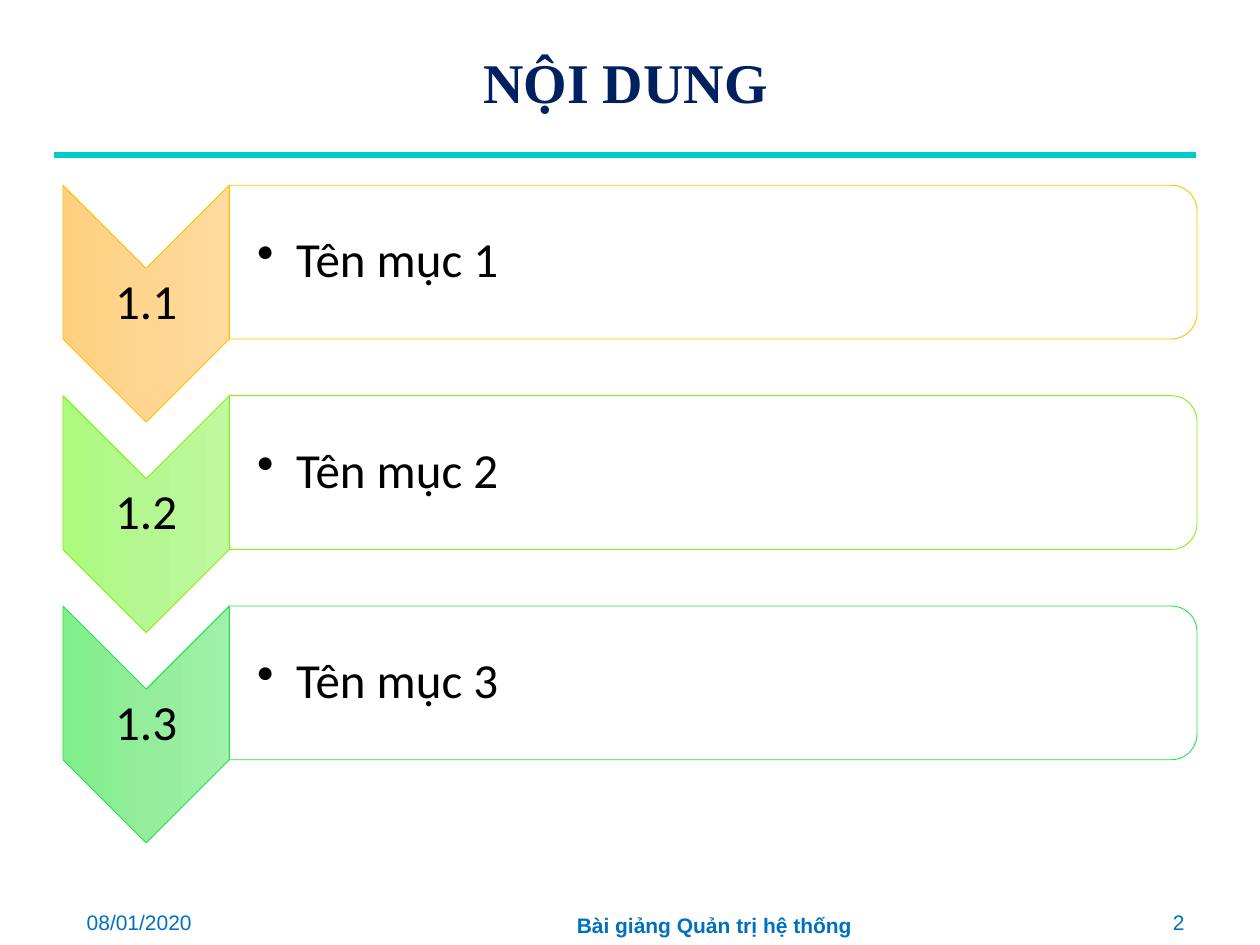
import copy
from dataclasses import dataclass

import pptx
import pptx.dml.color
import pptx.enum.shapes
import pptx.enum.text
import pptx.oxml
import pptx.oxml.ns
import pptx.util
from pptx.util import Inches

SHAPES = pptx.enum.shapes.MSO_SHAPE
ALIGN = pptx.enum.text.PP_ALIGN
MIDDLE = pptx.enum.text.MSO_ANCHOR.MIDDLE
qn = pptx.oxml.ns.qn


@dataclass(frozen=True)
class Style:
    font: str
    size: int
    color: str
    bold: bool = False


@dataclass(frozen=True)
class Theme:
    title: Style = Style("Times New Roman", 32, "002060", True)
    item: Style = Style("Calibri", 28, "000000")
    footer: Style = Style("Arial", 12, "0070C0")
    footer_bold: Style = Style("Arial", 12, "0070C0", True)
    rule: str = "00CCCC"
    panel: str = "FFFFFF"


@dataclass(frozen=True)
class Box:
    left: float
    top: float
    width: float
    height: float

    def lengths(self) -> tuple:
        return tuple(Inches(v) for v in (self.left, self.top, self.width, self.height))

    def before_quarter_turn(self) -> "Box":
        """Frame that covers this box once it is rotated by 90 degrees."""
        shift = (self.width - self.height) / 2
        return Box(self.left + shift, self.top - shift, self.height, self.width)


@dataclass(frozen=True)
class Section:
    number: str
    name: str
    gradient: tuple
    line: str


@dataclass(frozen=True)
class Footer:
    text: str
    box: Box
    align: object
    style: Style


THEME = Theme()
ROW_TOP, ROW_PITCH = 1.47, 1.67
LEFT, CHEVRON_WIDTH, PANEL_WIDTH = 0.5, 1.32, 7.68
SECTIONS = (
    Section("1.1", "Tên mục 1", ("FFDB9E", "FFD590", "FFD07C"), "FFC000"),
    Section("1.2", "Tên mục 2", ("C0F99F", "B5F791", "ABFB7D"), "86F011"),
    Section("1.3", "Tên mục 3", ("A1F0A9", "93ED9B", "7FEF89"), "23E148"),
)
FOOTERS = (
    Footer("08/01/2020", Box(0.59, 7.18, 1.47, 0.28), ALIGN.LEFT, THEME.footer),
    Footer("Bài giảng Quản trị hệ thống", Box(2.56, 7.18, 6.22, 0.32),
           ALIGN.CENTER, THEME.footer_bold),
    Footer("2", Box(8.94, 7.18, 0.56, 0.28), ALIGN.RIGHT, THEME.footer),
)


def rgb(value: str):
    return pptx.dml.color.RGBColor.from_string(value)


def write(shape, text: str, style: Style, align):
    """Fill the shape with one styled paragraph and return that paragraph."""
    frame = shape.text_frame
    frame.word_wrap = True
    frame.vertical_anchor = MIDDLE
    para = frame.paragraphs[0]
    para.alignment = align
    span = para.add_run()
    span.text = text
    span.font.name = style.font
    span.font.size = pptx.util.Pt(style.size)
    span.font.bold = style.bold
    span.font.color.rgb = rgb(style.color)
    return para


def add_text(page, box: Box, text: str, style: Style, align):
    shape = page.shapes.add_textbox(*box.lengths())
    return shape, write(shape, text, style, align)


def add_item_text(page, box: Box, text: str, align, left_inset: float = 0.02):
    shape, para = add_text(page, box, text, THEME.item, align)
    frame = shape.text_frame
    frame.margin_left = Inches(left_inset)
    frame.margin_top = frame.margin_right = frame.margin_bottom = Inches(0.02)
    para.line_spacing = 0.9
    return para


def add_bullet(para, indent: float) -> None:
    properties = para._p.get_or_add_pPr()
    properties.set("marL", str(Inches(indent)))
    properties.set("indent", str(-Inches(indent)))
    bullet = pptx.oxml.ns.qn("a:buChar")
    properties.append(properties.makeelement(bullet, {"char": "•"}))


def add_turned_shape(page, kind, box: Box, line: str):
    shape = page.shapes.add_shape(kind, *box.before_quarter_turn().lengths())
    shape.rotation = 90
    shape.shadow.inherit = False
    shape.line.color.rgb = rgb(line)
    shape.line.width = pptx.util.Pt(0.5)
    return shape


def fill_gradient(shape, colors: tuple) -> None:
    shape.fill.gradient()
    shape.fill.gradient_angle = 270
    first = shape.fill._xPr.find(".//" + qn("a:gs"))
    first.addnext(copy.deepcopy(first))
    for index, (stop, color) in enumerate(zip(shape.fill.gradient_stops, colors)):
        stop.position = index / (len(colors) - 1)
        stop.color.rgb = rgb(color)


def fill_translucent(shape, color: str, opacity: int) -> None:
    shape.fill.solid()
    shape.fill.fore_color.rgb = rgb(color)
    node = shape._element.spPr.find(qn("a:solidFill")).find(qn("a:srgbClr"))
    node.append(node.makeelement(qn("a:alpha"), {"val": str(opacity * 1000)}))


def add_section(page, section: Section, top: float) -> None:
    chevron = add_turned_shape(page, SHAPES.CHEVRON,
                               Box(LEFT, top, CHEVRON_WIDTH, 1.88), section.line)
    fill_gradient(chevron, section.gradient)
    add_item_text(page, Box(LEFT, top + CHEVRON_WIDTH / 2, CHEVRON_WIDTH, 0.56),
                  section.number, ALIGN.CENTER)

    panel_left = LEFT + CHEVRON_WIDTH
    panel = add_turned_shape(page, SHAPES.ROUND_2_SAME_RECTANGLE,
                             Box(panel_left, top, PANEL_WIDTH, 1.22), section.line)
    fill_translucent(panel, THEME.panel, 90)
    para = add_item_text(page, Box(panel_left, top + 0.06, PANEL_WIDTH - 0.06, 1.1),
                         section.name, ALIGN.LEFT, left_inset=0.22)
    add_bullet(para, 0.31)


def add_title(page) -> None:
    title = page.shapes.title
    title.left, title.top, title.width, title.height = Box(0.43, 0.05, 9.07, 1.18).lengths()
    write(title, "NỘI DUNG", THEME.title, ALIGN.CENTER)


def add_rule(page) -> None:
    rule = page.shapes.add_connector(pptx.enum.shapes.MSO_CONNECTOR.STRAIGHT,
                                     Inches(0.43), Inches(1.23), Inches(9.49), Inches(1.23))
    rule.line.color.rgb = rgb(THEME.rule)
    rule.line.width = pptx.util.Pt(3.5)
    properties = rule._element.spPr
    properties.append(properties.makeelement(qn("a:effectLst"), {}))


def main() -> None:
    deck = pptx.Presentation()
    deck.slide_width, deck.slide_height = Inches(10), Inches(7.5)
    page = deck.slides.add_slide(deck.slide_layouts.get_by_name("Title Only"))
    add_rule(page)
    add_title(page)
    for row, section in enumerate(SECTIONS):
        add_section(page, section, ROW_TOP + row * ROW_PITCH)
    for footer in FOOTERS:
        add_text(page, footer.box, footer.text, footer.style, footer.align)
    deck.save("out.pptx")


if __name__ == "__main__":
    main()
